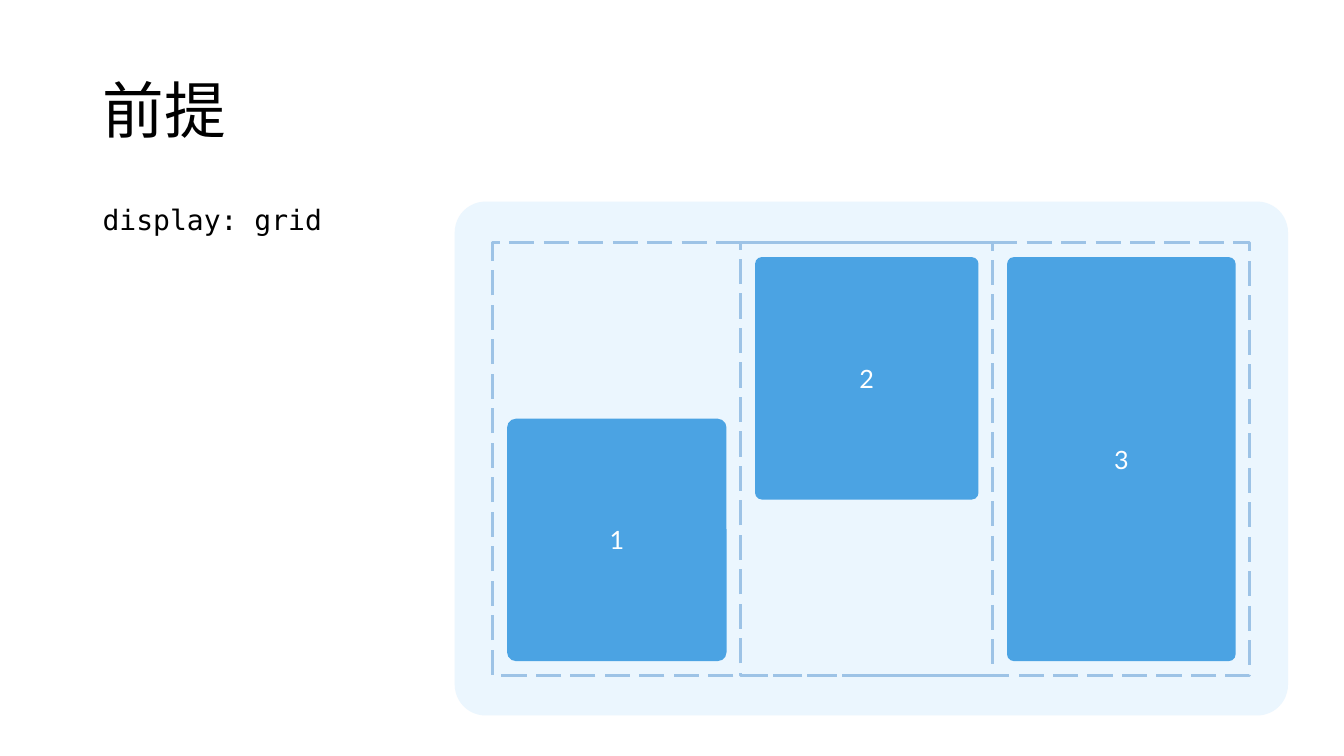
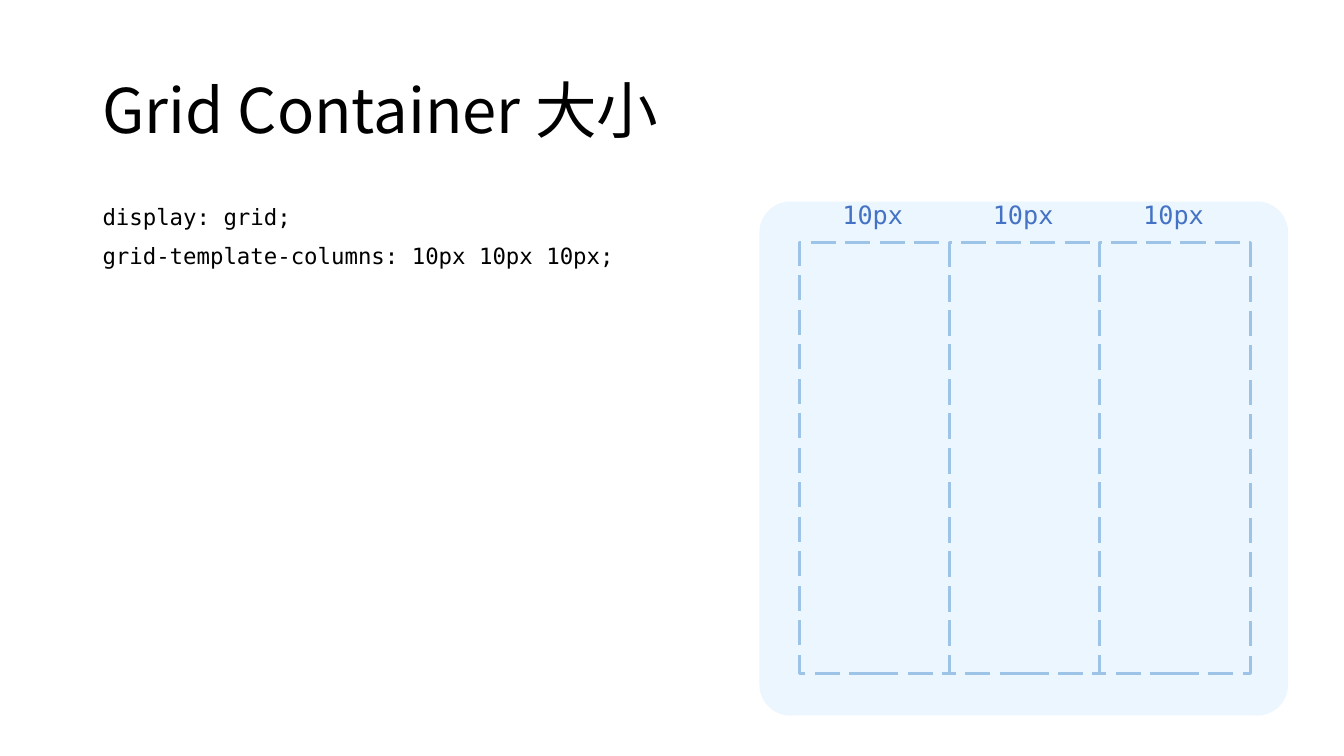
from lxml import etree
from pptx import Presentation
from pptx.dml.color import RGBColor
from pptx.enum.dml import MSO_LINE
from pptx.enum.shapes import MSO_SHAPE
from pptx.enum.text import MSO_ANCHOR, MSO_AUTO_SIZE, PP_ALIGN
from pptx.oxml.ns import qn
from pptx.util import Cm, Pt

RECT = MSO_SHAPE.RECTANGLE
ROUND = MSO_SHAPE.ROUNDED_RECTANGLE
DASH = MSO_LINE.LONG_DASH
MIDDLE = MSO_ANCHOR.MIDDLE
TOP = MSO_ANCHOR.TOP
LEFT = PP_ALIGN.LEFT
CENTER = PP_ALIGN.CENTER
FIXED = MSO_AUTO_SIZE.NONE

COLORS = {
    "ink": "000000",
    "panel": "EBF6FE",
    "dash": "9DC3E6",
    "card": "4BA3E3",
    "label": "4472C4",
    "white": "FFFFFF",
}
HEAD = "Noto Sans CJK SC"
CODE = "DejaVu Sans Mono"
BODY = "Lato"

MARGIN = 2.33
RIGHT = 32.46
PANEL_TOP = 5.08
GRID_TOP = 6.12
INSET = 0.36


def color(name):
    return RGBColor.from_string(COLORS[name])


def place(shape, x, y, w, h):
    shape.left, shape.top, shape.width, shape.height = map(Cm, (x, y, w, h))


def add_run(para, text, font, size, ink):
    run = para.add_run()
    run.text = text
    run.font.name = font
    run.font.size = Pt(size)
    run.font.color.rgb = color(ink)
    latin = run.font._element.find(qn("a:latin"))
    latin.addnext(etree.Element(qn("a:ea"), typeface=font))


def fill_text(shape, lines, font, size, anchor):
    place_text = shape.text_frame
    place_text.auto_size = FIXED
    place_text.word_wrap = True
    place_text.vertical_anchor = anchor
    for i, line in enumerate(lines):
        para = place_text.add_paragraph() if i else place_text.paragraphs[0]
        para.alignment = LEFT
        para.line_spacing = 0.9
        add_run(para, line, font, size, "ink")
        yield para


def add_title(slide, text):
    title = slide.shapes.title
    place(title, MARGIN, 1.02, 29.21, 3.68)
    list(fill_text(title, [text], HEAD, 44, MIDDLE))


def add_code(slide, lines, width, size):
    body = slide.placeholders[1]
    place(body, MARGIN, PANEL_TOP, width, 12.09)
    for para in fill_text(body, lines, CODE, size, TOP):
        para.space_before = Pt(10)
        props = para._p.get_or_add_pPr()
        props.set("marL", "0")
        props.set("indent", "0")
        etree.SubElement(props, qn("a:buNone"))


def add_box(slide, kind, x, y, w, h, fill=None):
    box = slide.shapes.add_shape(kind, Cm(x), Cm(y), Cm(w), Cm(h))
    box.shadow.inherit = False
    if fill:
        box.fill.solid()
        box.fill.fore_color.rgb = color(fill)
        box.line.fill.background()
    else:
        box.fill.background()
        box.line.color.rgb = color("dash")
        box.line.width = Pt(2.25)
        box.line.dash_style = DASH
    return box


def add_panel(slide, x):
    panel = add_box(slide, ROUND, x, PANEL_TOP, RIGHT - x, 12.95, "panel")
    panel.adjustments[0] = 0.06


def add_card(slide, text, x, y, w, h, curve):
    card = add_box(slide, ROUND, x, y, w, h, "card")
    card.adjustments[0] = curve
    frame = card.text_frame
    frame.vertical_anchor = MIDDLE
    para = frame.paragraphs[0]
    para.alignment = CENTER
    add_run(para, text, BODY, 18, "white")


def add_label(slide, text, x, y, w, h):
    label = slide.shapes.add_textbox(Cm(x), Cm(y), Cm(w), Cm(h))
    label.text_frame.word_wrap = True
    add_run(label.text_frame.paragraphs[0], text, CODE, 18, "label")


def start(deck, title, lines, width, size, panel):
    slide = deck.slides.add_slide(deck.slide_layouts[1])
    add_title(slide, title)
    add_code(slide, lines, width, size)
    add_panel(slide, panel)
    return slide


def add_cards(deck):
    slide = start(deck, "前提", ["display: grid"], 6.96, 20, 11.46)
    edges = [12.42, 18.67, 25.02, 31.5]
    height = 10.9
    for left, right in ((edges[0], edges[3]), (edges[1], edges[2])):
        add_box(slide, RECT, left, GRID_TOP, right - left, height)
    room = height - 2 * INSET
    cards = [("1", 0.4, 0.6, 0.04), ("2", 0, 0.6, 0.03), ("3", 0, 1, 0.03)]
    for (text, skip, share, curve), left, right in zip(cards, edges, edges[1:]):
        add_card(slide, text, left + INSET, GRID_TOP + INSET + skip * room,
                 right - left - 2 * INSET, share * room, curve)


def add_columns(deck):
    lines = ["display: grid;", "grid-template-columns: 10px 10px 10px;"]
    slide = start(deck, "Grid Container 大小", lines, 15.85, 16, 19.14)
    width, wide = 3.79, 2.11
    spots = [20.14 + i * width for i in range(3)]
    for x in reversed(spots):
        add_box(slide, RECT, x, GRID_TOP, width, 10.85)
    for x in spots:
        add_label(slide, "10px", x + (width - wide) / 2, 4.9, wide, 1.02)


def main():
    deck = Presentation()
    deck.slide_width = Cm(33.87)
    deck.slide_height = Cm(19.05)
    add_cards(deck)
    add_columns(deck)
    deck.save("out.pptx")


if __name__ == "__main__":
    main()
